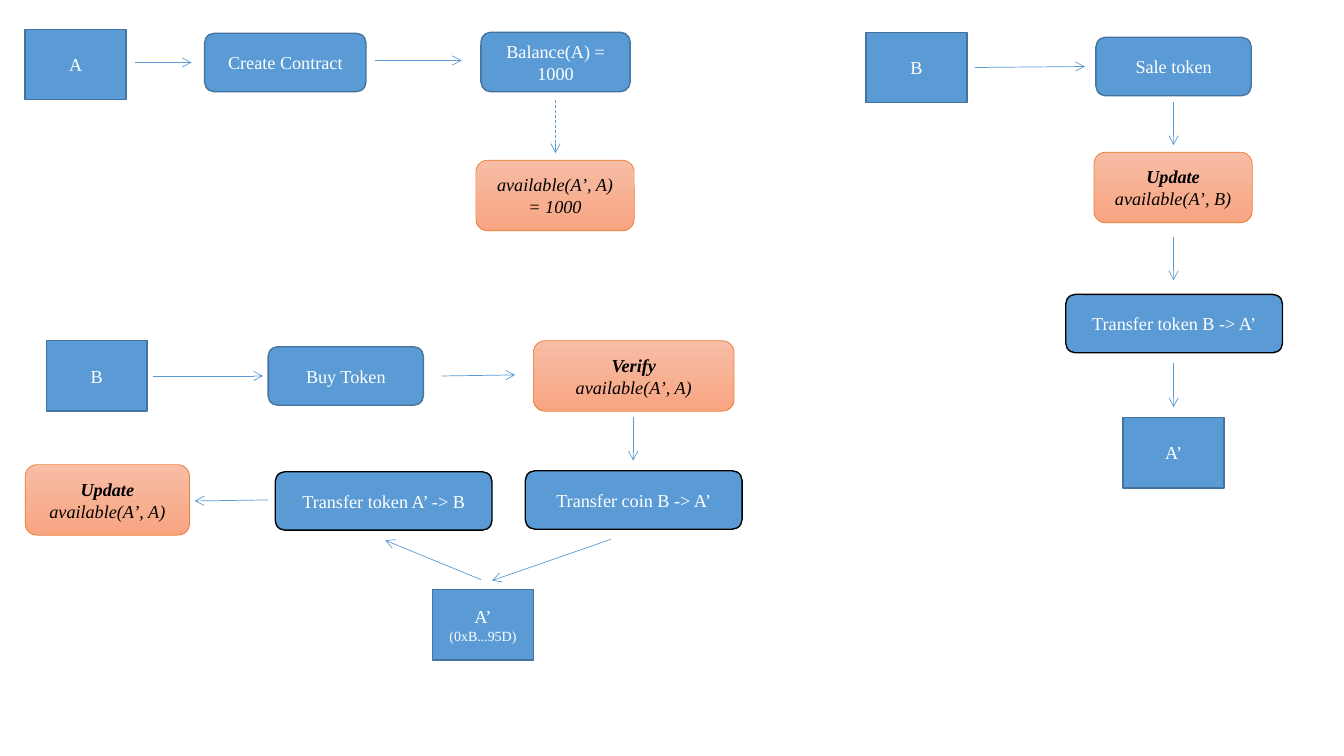
from lxml.etree import SubElement
from pptx import Presentation
from pptx.dml.color import RGBColor
from pptx.enum.dml import MSO_LINE as DASH
from pptx.enum.shapes import MSO_CONNECTOR as CONNECTOR, MSO_SHAPE as SHAPE
from pptx.enum.text import MSO_ANCHOR as ANCHOR, PP_ALIGN as ALIGN
from pptx.oxml.ns import qn
from pptx.util import Pt

PX = 9144
FONT = "Times New Roman"
WHITE = RGBColor(0xFF, 0xFF, 0xFF)
BLACK = RGBColor(0x00, 0x00, 0x00)
BLUE = RGBColor(0x5B, 0x9B, 0xD5)
DARK_BLUE = RGBColor(0x43, 0x73, 0x9E)
ORANGE = RGBColor(0xED, 0x7D, 0x31)
PEACH_TOP = RGBColor(0xF7, 0xBD, 0xA5)
PEACH_BOTTOM = RGBColor(0xF8, 0xA5, 0x82)

STYLES = {
    "account": (SHAPE.RECTANGLE, DARK_BLUE, 1, WHITE),
    "action": (SHAPE.ROUNDED_RECTANGLE, DARK_BLUE, 1, WHITE),
    "transfer": (SHAPE.ROUNDED_RECTANGLE, BLACK, 1, WHITE),
    "state": (SHAPE.ROUNDED_RECTANGLE, ORANGE, 0.5, BLACK),
}

create_flow = (
    [
        ("account", 25, 29, 100, 70, ["A"]),
        ("action", 203, 33, 160, 58, ["Create Contract"]),
        ("action", 477, 32, 148, 59, ["Balance(A) = 1000"]),
        ("state", 472, 159, 157, 70, ["available(A’, A)", "= 1000"]),
    ],
    [
        (134, 62, 190, 62, DASH.SOLID),
        (372, 60, 458, 60, DASH.SOLID),
        (551, 99, 551, 152, DASH.DASH),
    ],
)
sale_flow = (
    [
        ("account", 859, 32, 100, 70, ["B"]),
        ("action", 1087, 37, 154, 58, ["Sale token"]),
        ("state", 1085, 151, 157, 70, ["Update", "available(A’, B)"]),
        ("transfer", 1057, 292, 215, 58, ["Transfer token B -> A’"]),
        ("account", 1114, 414, 100, 70, ["A’"]),
    ],
    [
        (967, 67, 1076, 66, DASH.SOLID),
        (1164, 101, 1164, 144, DASH.SOLID),
        (1164, 235, 1164, 278, DASH.SOLID),
        (1164, 360, 1164, 404, DASH.SOLID),
    ],
)
buy_flow = (
    [
        ("account", 46, 338, 100, 70, ["B"]),
        ("action", 266, 344, 154, 58, ["Buy Token"]),
        ("state", 529, 338, 199, 70, ["Verify", "available(A’, A)"]),
        ("transfer", 521, 467, 215, 58, ["Transfer coin B -> A’"]),
        ("account", 429, 585, 100, 70, ["A’", "(0xB...95D)"]),
        ("transfer", 273, 468, 215, 58, ["Transfer token A’ -> B"]),
        ("state", 25, 461, 163, 70, ["Update", "available(A’, A)"]),
    ],
    [
        (152, 373, 261, 373, DASH.SOLID),
        (438, 373, 511, 372, DASH.SOLID),
        (628, 414, 628, 457, DASH.SOLID),
        (606, 535, 488, 576, DASH.SOLID),
        (477, 575, 382, 536, DASH.SOLID),
        (266, 496, 193, 497, DASH.SOLID),
    ],
)

presentation = Presentation()
presentation.slide_width = 1333 * PX
presentation.slide_height = 750 * PX
slide = presentation.slides.add_slide(presentation.slide_layouts[6])

for boxes, arrows in (create_flow, sale_flow, buy_flow):
    group = slide.shapes.add_group_shape()

    for style, left, top, width, height, lines in boxes:
        preset, outline, weight, text_color = STYLES[style]
        shape = group.shapes.add_shape(
            preset, left * PX, top * PX, width * PX, height * PX
        )
        shape.shadow.inherit = False
        if style == "state":
            shape.fill.gradient()
            shape.fill.gradient_angle = 270
            for stop, color in zip(
                shape.fill.gradient_stops, (PEACH_TOP, PEACH_BOTTOM)
            ):
                stop.color.rgb = color
        else:
            shape.fill.solid()
            shape.fill.fore_color.rgb = BLUE
        shape.line.color.rgb = outline
        shape.line.width = Pt(weight)

        frame = shape.text_frame
        frame.word_wrap = True
        frame.vertical_anchor = ANCHOR.MIDDLE
        for index, line in enumerate(lines):
            paragraph = frame.add_paragraph() if index else frame.paragraphs[0]
            paragraph.alignment = ALIGN.CENTER
            run = paragraph.add_run()
            run.text = line
            run.font.name = FONT
            run.font.size = Pt(10 if line.startswith("(") else 13)
            run.font.bold = line in ("Update", "Verify")
            run.font.italic = style == "state"
            run.font.color.rgb = text_color

    for start_x, start_y, end_x, end_y, dash in arrows:
        arrow = group.shapes.add_connector(
            CONNECTOR.STRAIGHT, start_x * PX, start_y * PX, end_x * PX, end_y * PX
        )
        arrow.line.color.rgb = BLUE
        arrow.line.width = Pt(0.5)
        arrow.line.dash_style = dash
        SubElement(arrow.line._get_or_add_ln(), qn("a:tailEnd"), type="arrow")
        SubElement(arrow._element.spPr, qn("a:effectLst"))

presentation.save("out.pptx")
